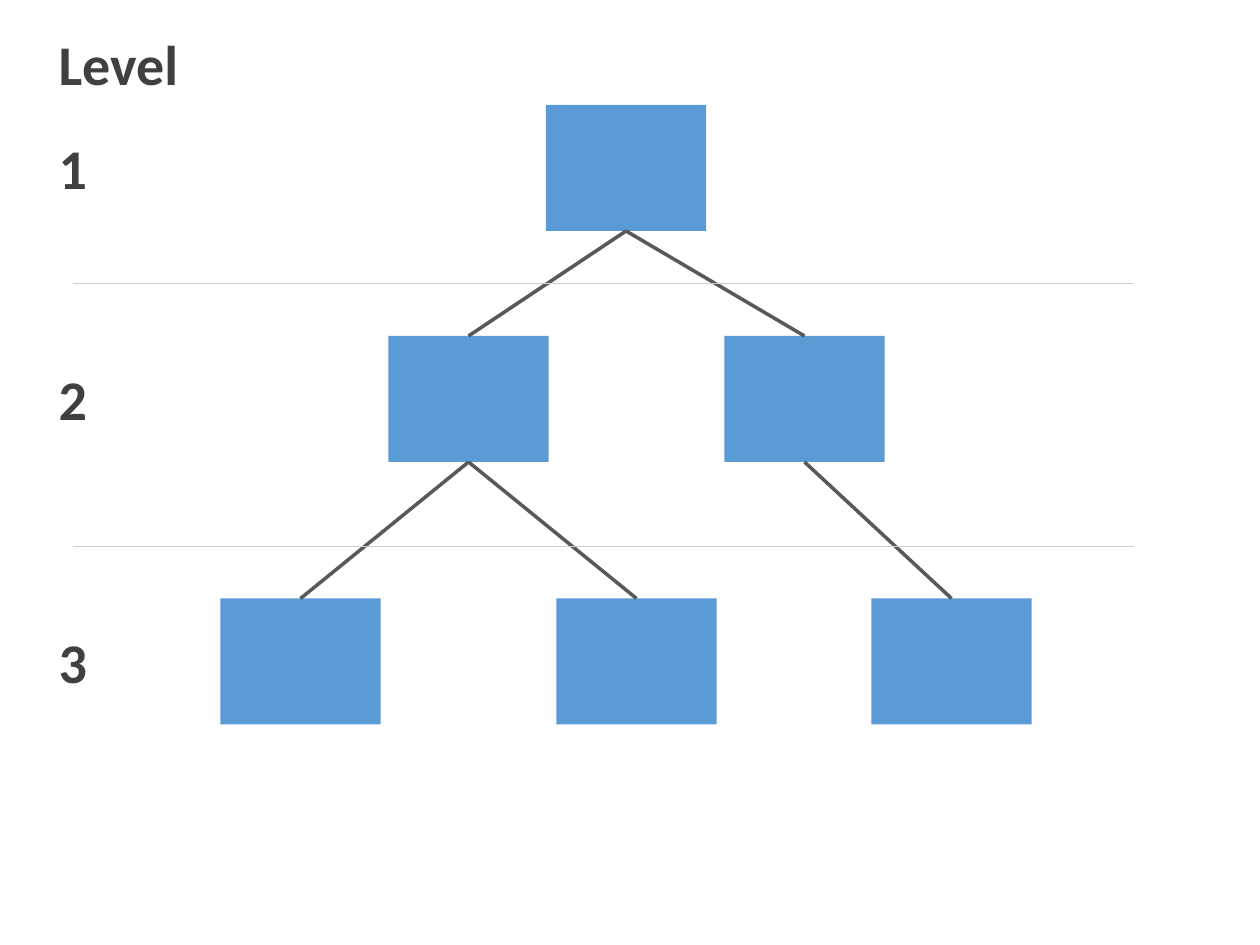
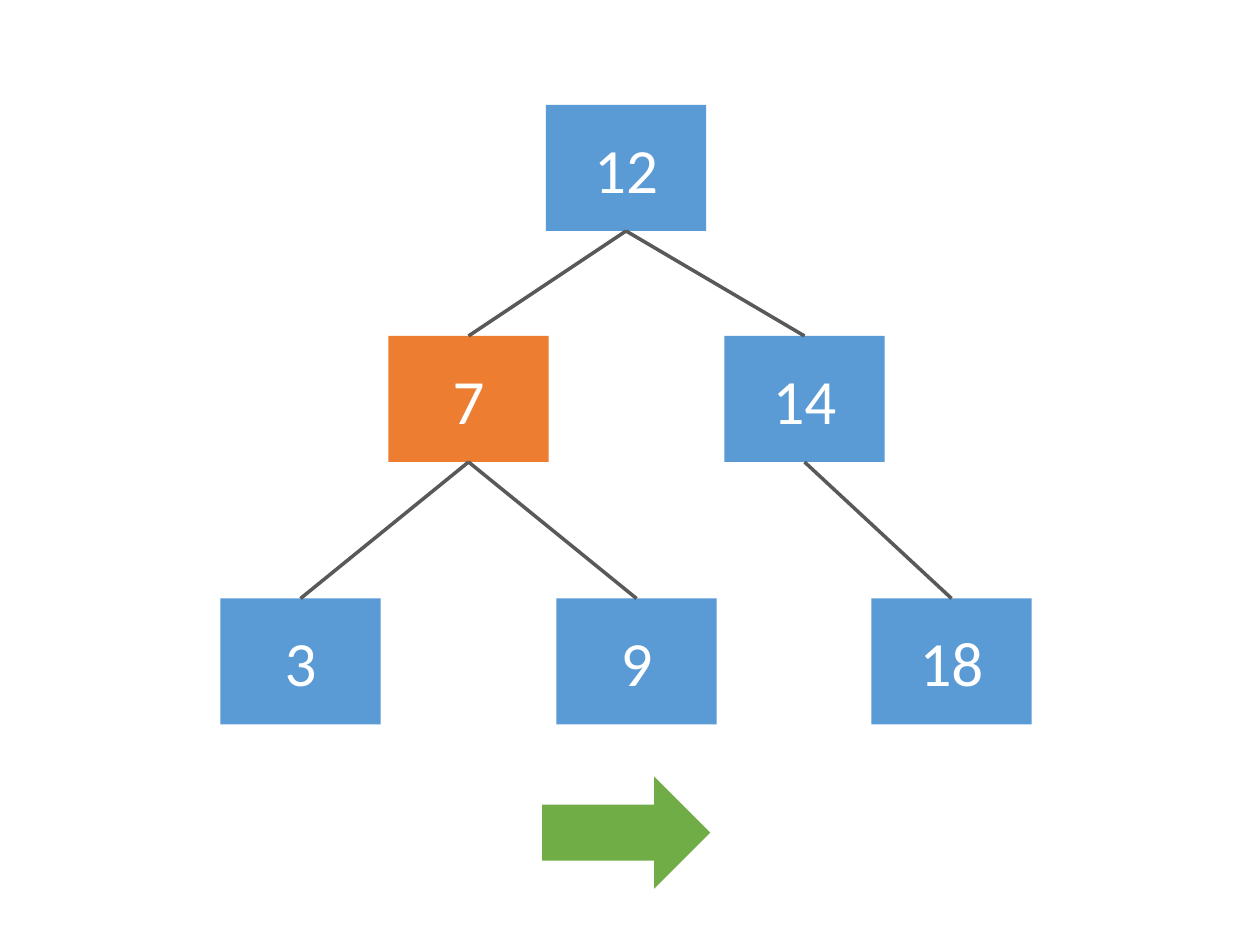
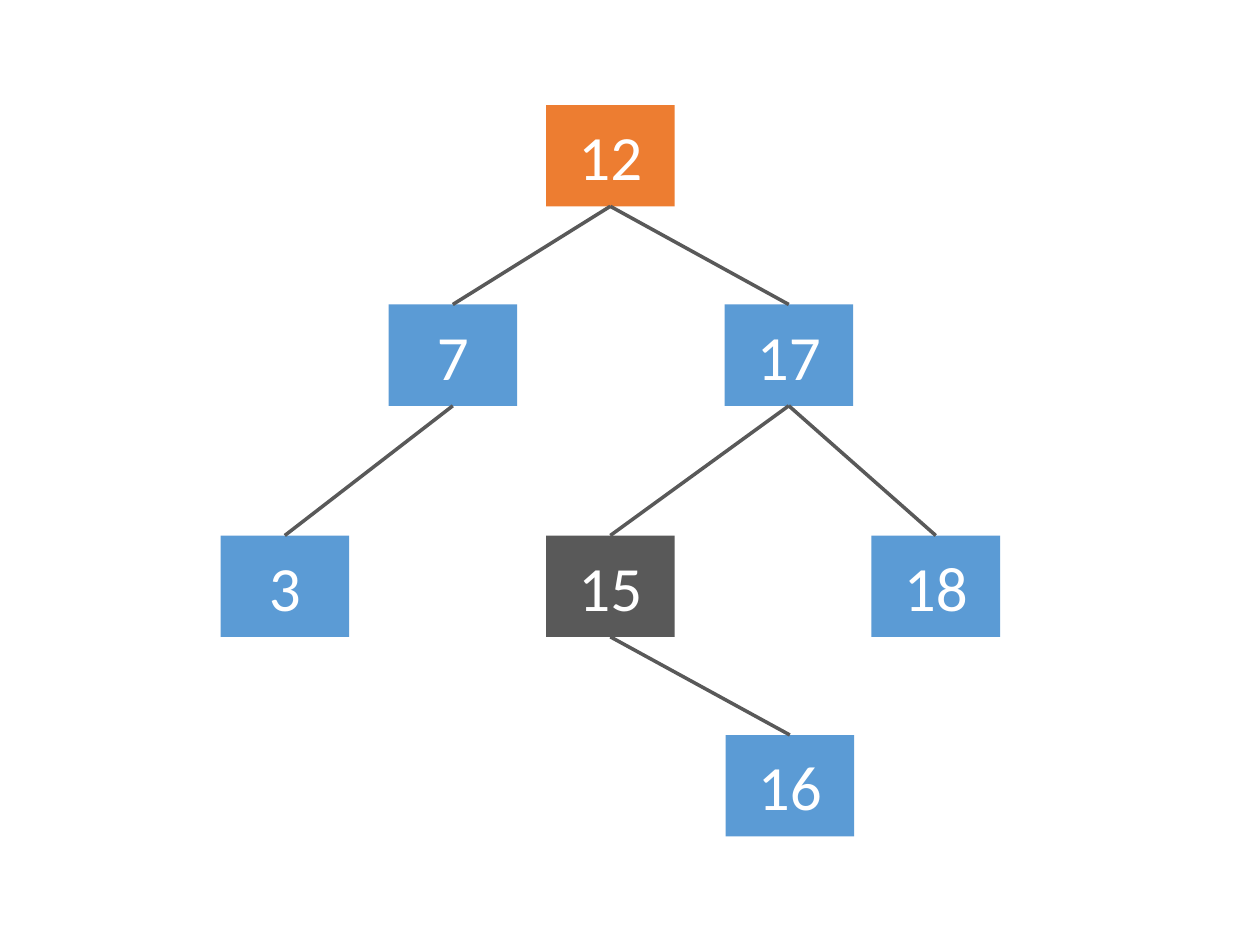
import lxml.etree
import pptx
import pptx.dml.color
import pptx.enum.shapes
import pptx.enum.text
import pptx.oxml.ns
import pptx.util

# Shared look
BLUE, ORANGE, GREEN = "5B9BD5", "ED7D31", "70AD47"
EDGE_GREY, TEXT_GREY, RULE_GREY, WHITE = "595959", "404040", "D0CECE", "FFFFFF"
FONT = "Calibri"
KEY_FONT = {"name": FONT, "size": pptx.util.Pt(36)}
LEVEL_FONT = {"name": FONT, "size": pptx.util.Pt(32), "bold": True}

# Twelve grid units to the inch
COLUMNS, ROWS = 120, 90
LEVEL_LEFT, LEVEL_WIDTH, LEVEL_HEIGHT = 4.4, 15.7, 7.7
LARGE_NODE, SMALL_NODE = (15.25, 12), (12.25, 9.65)

# Trees: node -> (column, row), and parent-child pairs
THREE_LEVELS = {
    "root": (52, 10),
    "left": (37, 32), "right": (69, 32),
    "left-left": (21, 57), "left-right": (53, 57), "right-right": (83, 57),
}
THREE_LEVEL_EDGES = [
    ("root", "left"), ("root", "right"),
    ("left", "left-left"), ("left", "left-right"), ("right", "right-right"),
]
SEARCH_KEYS = {"root": "12", "left": "7", "right": "14",
               "left-left": "3", "left-right": "9", "right-right": "18"}
FOUR_LEVELS = {
    "12": (52, 10),
    "7": (37, 29), "17": (69, 29),
    "3": (21, 51), "15": (52, 51), "18": (83, 51),
    "16": (69.1, 70),
}
FOUR_LEVEL_EDGES = [("12", "7"), ("12", "17"), ("7", "3"),
                    ("17", "15"), ("17", "18"), ("15", "16")]


def color(hex_code):
    return pptx.dml.color.RGBColor.from_string(hex_code)


def apply(target, values):
    for attribute, value in values.items():
        setattr(target, attribute, value)


class Deck:
    """Holds the style, the grid and the current slide."""

    def __init__(self):
        self.presentation = pptx.Presentation()
        apply(self.presentation, {"slide_width": pptx.util.Inches(10),
                                  "slide_height": pptx.util.Inches(7.5)})
        self.column = self.presentation.slide_width / COLUMNS
        self.row = self.presentation.slide_height / ROWS

    def new_slide(self):
        blank = self.presentation.slide_layouts[6]
        self.shapes = self.presentation.slides.add_slide(blank).shapes

    def place(self, *lengths):
        """Turn alternating columns and rows into slide lengths."""
        return [round(length * (self.row if i % 2 else self.column))
                for i, length in enumerate(lengths)]

    def add_text(self, frame, text, font_values, hex_code):
        paragraph = frame.paragraphs[0]
        run = paragraph.add_run()
        run.text = text
        apply(run.font, font_values)
        run.font.color.rgb = color(hex_code)
        return paragraph

    def block(self, kind, left, top, width, height, fill):
        shape = self.shapes.add_shape(kind, *self.place(left, top, width, height))
        shape.shadow.inherit = False
        shape.fill.solid()
        shape.fill.fore_color.rgb = color(fill)
        shape.line.fill.background()
        return shape

    def node(self, position, size, key="", fill=BLUE):
        box = self.block(pptx.enum.shapes.MSO_SHAPE.RECTANGLE, *position, *size, fill)
        if key:
            box.text_frame.vertical_anchor = pptx.enum.text.MSO_ANCHOR.MIDDLE
            paragraph = self.add_text(box.text_frame, key, KEY_FONT, WHITE)
            paragraph.alignment = pptx.enum.text.PP_ALIGN.CENTER
        return box

    def line(self, start, end, hex_code, points):
        connector = self.shapes.add_connector(
            pptx.enum.shapes.MSO_CONNECTOR.STRAIGHT, *self.place(*start, *end))
        connector.line.color.rgb = color(hex_code)
        connector.line.width = pptx.util.Pt(points)
        lxml.etree.SubElement(connector._element.spPr, pptx.oxml.ns.qn("a:effectLst"))
        return connector

    def tree(self, positions, edges, size, keys, fills):
        nodes = {name: self.node(position, size, keys.get(name, ""), fills.get(name, BLUE))
                 for name, position in positions.items()}
        half_width, height = size[0] / 2, size[1]
        for parent, child in edges:
            (parent_x, parent_y), (child_x, child_y) = positions[parent], positions[child]
            edge = self.line((parent_x + half_width, parent_y + height),
                             (child_x + half_width, child_y), EDGE_GREY, 2)
            edge.begin_connect(nodes[parent], 2)
            edge.end_connect(nodes[child], 0)

    def level(self, text, top):
        label = self.shapes.add_textbox(
            *self.place(LEVEL_LEFT, top, LEVEL_WIDTH, LEVEL_HEIGHT))
        apply(label.text_frame, {
            "word_wrap": True,
            "auto_size": pptx.enum.text.MSO_AUTO_SIZE.SHAPE_TO_FIT_TEXT})
        self.add_text(label.text_frame, text, LEVEL_FONT, TEXT_GREY)


def main():
    deck = Deck()

    # Levels of a tree
    deck.new_slide()
    deck.tree(THREE_LEVELS, THREE_LEVEL_EDGES, LARGE_NODE, {}, {})
    deck.level("Level", 2.25)
    level_tops = sorted({top for _, top in THREE_LEVELS.values()})
    for number, top in enumerate(level_tops, start=1):
        deck.level(str(number), top + (LARGE_NODE[1] - LEVEL_HEIGHT) / 2)
    for next_top in level_tops[1:]:
        deck.line((7, next_top - 5), (108, next_top - 5), RULE_GREY, 0.5)

    # Search tree with one key marked, and the arrow onward
    deck.new_slide()
    deck.tree(THREE_LEVELS, THREE_LEVEL_EDGES, LARGE_NODE, SEARCH_KEYS, {"left": ORANGE})
    onward = deck.block(pptx.enum.shapes.MSO_SHAPE.UP_ARROW, 54.3, 71.3, 10.67, 16, GREEN)
    onward.rotation = 90

    # Four-level tree with the root and an inner key marked
    deck.new_slide()
    deck.tree(FOUR_LEVELS, FOUR_LEVEL_EDGES, SMALL_NODE,
              {key: key for key in FOUR_LEVELS}, {"12": ORANGE, "15": EDGE_GREY})

    deck.presentation.save("out.pptx")


if __name__ == "__main__":
    main()
